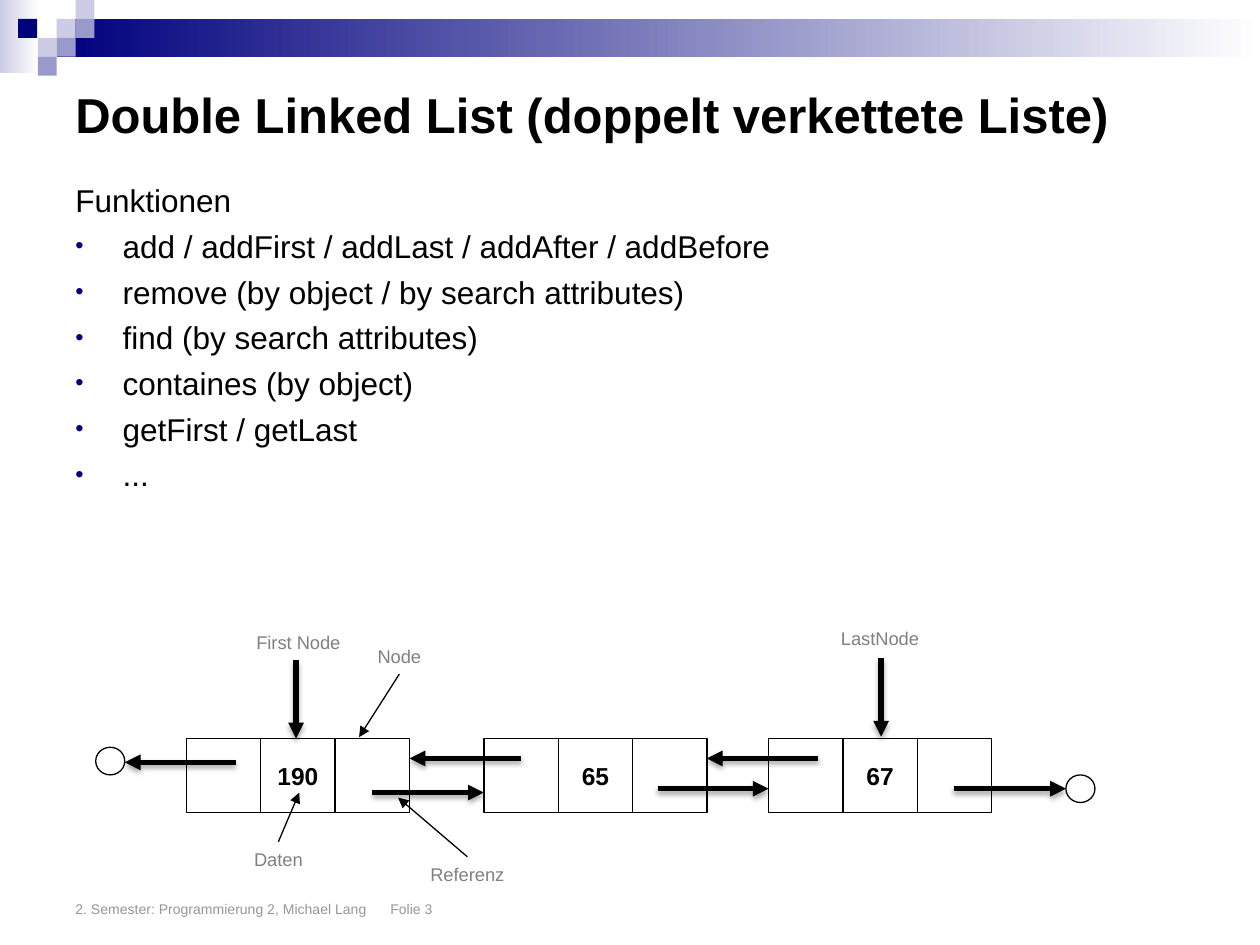
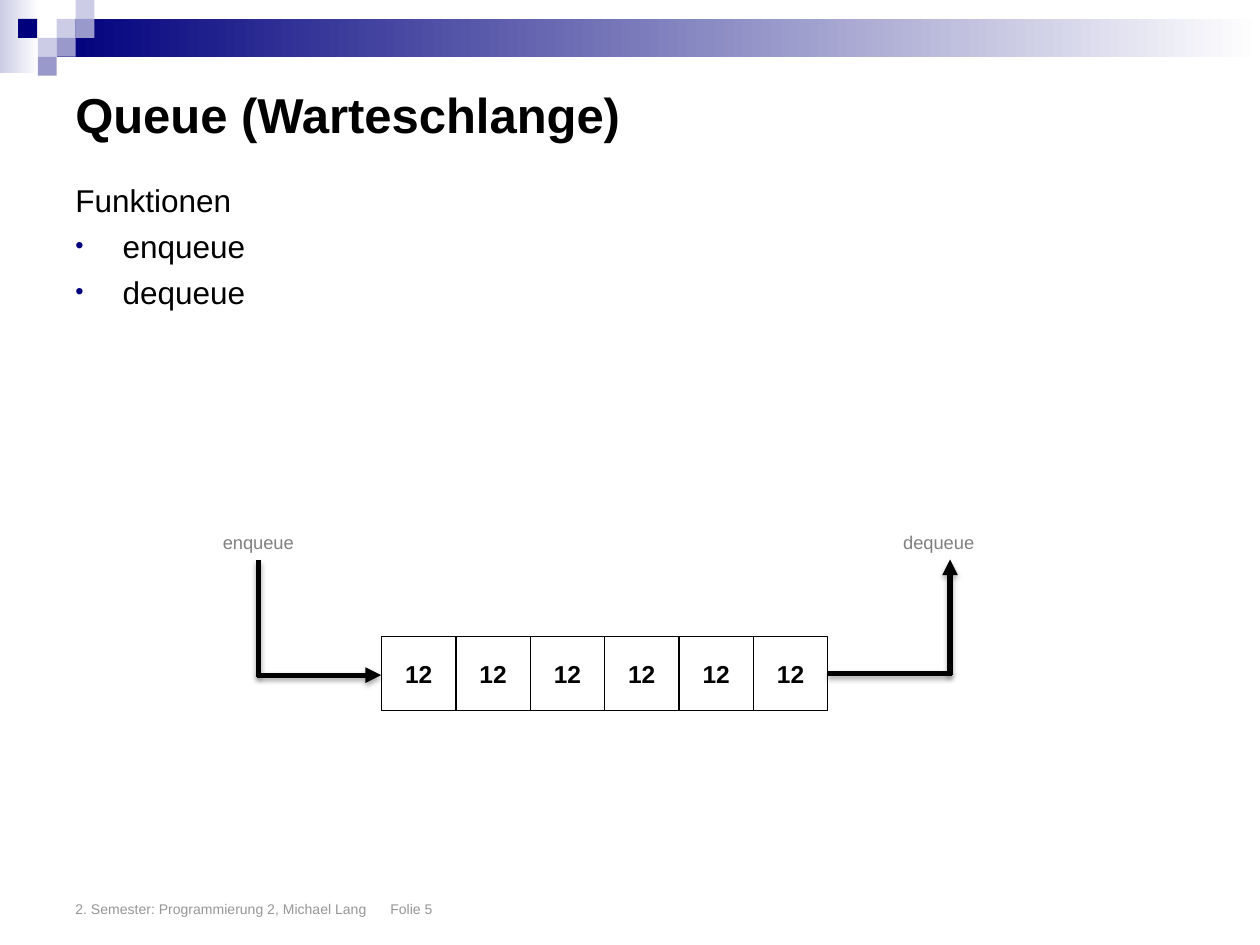
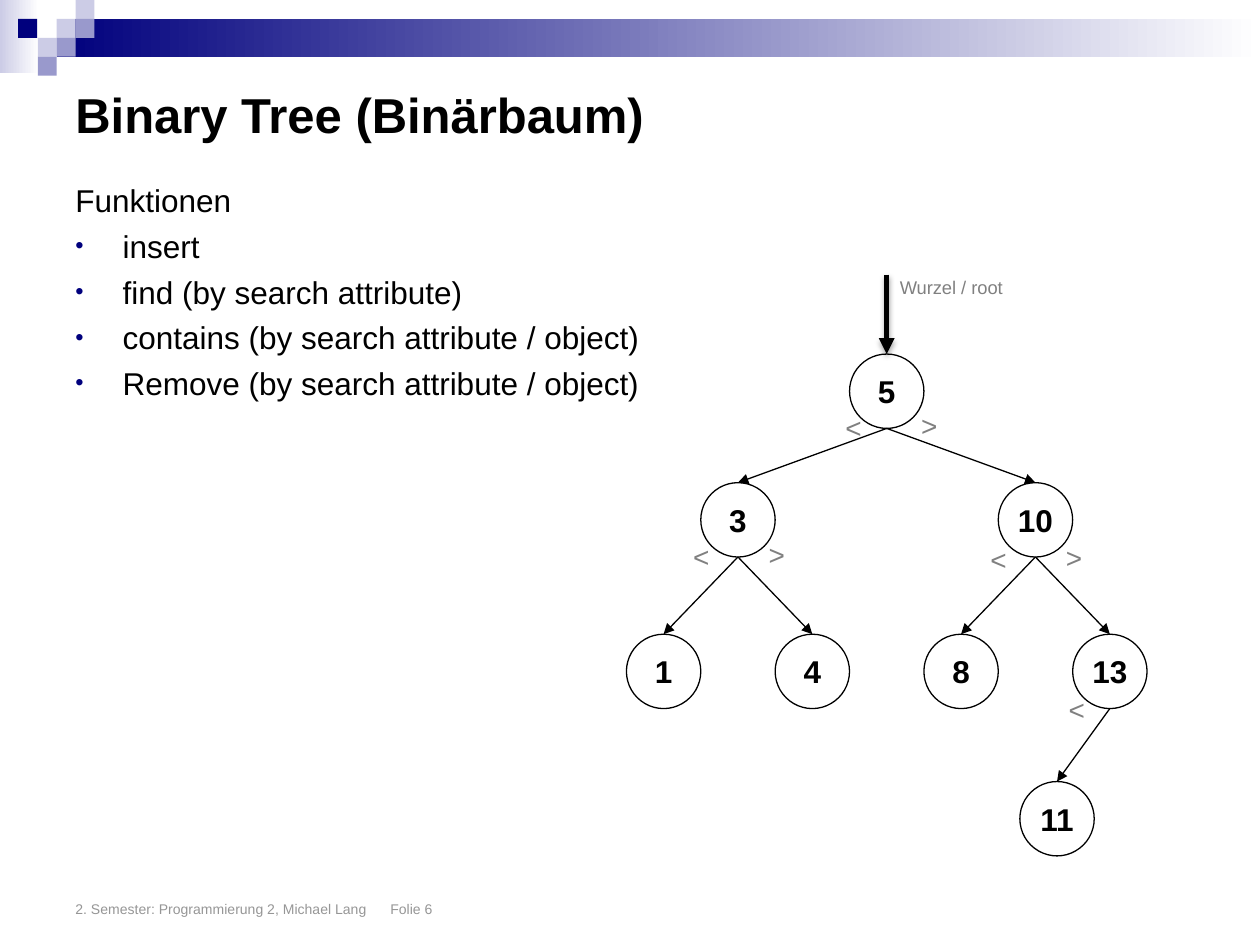
from lxml import etree
from pptx import Presentation
from pptx.dml.color import RGBColor
from pptx.enum.shapes import MSO_CONNECTOR as Connector, MSO_SHAPE as Preset
from pptx.enum.text import MSO_ANCHOR as Anchor, MSO_AUTO_SIZE as AutoSize, PP_ALIGN as Align
from pptx.oxml.ns import qn
from pptx.util import Pt

# ---- Shared look ----
COLORS = {"navy": "00007D", "lilac": "CCCCE6", "violet": "9999CC", "white": "FFFFFF",
          "black": "000000", "label": "808080", "footer": "969696"}
FONTS = {
    "title": {"size": 28, "bold": True, "color": "black"},
    "body": {"size": 18, "color": "black"},
    "footer": {"size": 8, "color": "footer"},
    "label": {"size": 10.5, "color": "label"},
    "mark": {"size": 16, "color": "label"},
    "cell": {"size": 14, "bold": True, "color": "black"},
    "node": {"size": 18, "bold": True, "color": "black"},
}
FOOTER = "2. Semester: Programmierung 2, Michael Lang\tFolie {}"
MARGIN, TEXT_WIDTH = 36, 648
THIN, THICK = 0.75, 3
CELL = 42.5

# left, top, width, height, colour(s)
TILE = 10.8
BAND = [
    (0, 0, 22.3, 42, ("lilac", "white")),
    (32.4, 10.8, 687.6, 21.6, ("navy", "white")),
] + [(left, top, TILE, TILE, (color,)) for left, top, color in [
    (32.4, 10.8, "lilac"), (43.2, 0, "lilac"), (43.2, 10.8, "violet"), (21.6, 21.6, "lilac"),
    (10.4, 10.8, "navy"), (32.4, 21.6, "violet"), (21.6, 32.4, "violet")]]

# ---- Slide content ----
LIST_SLIDE = {
    "title": "Double Linked List (doppelt verkettete Liste)", "number": 3, "body_height": 188.6,
    "functions": ["add / addFirst / addLast / addAfter / addBefore",
                  "remove (by object / by search attributes)", "find (by search attributes)",
                  "containes (by object)", "getFirst / getLast", "..."],
    "cells": [(106.5, 422, ["", "190", ""]), (276.5, 422, ["", "65", ""]),
              (439.2, 422, ["", "67", ""])],
    "ends": [(54.7, 427), (609.1, 442.8)],
    "thick": [(545, 450.7, 609.1, 450.7), (375.8, 450.7, 439.2, 450.7),
              (212.6, 452.9, 276.5, 452.9), (467.5, 433.4, 403.9, 433.4),
              (297.8, 433.4, 234, 433.4), (134.8, 435.6, 71.3, 435.6),
              (169.2, 377.3, 169.2, 422), (503.5, 376, 503.5, 421)],
    "thin": [(228.2, 385.2, 205.2, 421.2), (159.1, 481, 171, 453),
             (267.1, 489.6, 227.5, 455.8)],
    "labels": [("Node", 208.1, 365, 40.3), ("Daten", 137.5, 481, 43.2),
               ("Referenz", 238.3, 489.6, 57.6), ("First Node", 138.8, 357, 63.4),
               ("LastNode", 473, 355, 59.8)],
}
QUEUE_SLIDE = {
    "title": "Queue (Warteschlange)", "number": 5, "body_height": 102.2,
    "functions": ["enqueue", "dequeue"],
    "cells": [(218, 363.6, ["12"] * 6)],
    "thick": [(542.9, 386, 542.9, 319.7), (146.9, 385.8, 217.8, 385.8)],
    "plain": [(543.9, 384.7, 473, 384.7), (147.9, 386.6, 147.9, 320.2)],
    "labels": [("enqueue", 119.5, 300.2, 56.2), ("dequeue", 508.3, 300.2, 56.2)],
}
TREE_SLIDE = {
    "title": "Binary Tree (Binärbaum)", "number": 6, "body_height": 235.4,
    "functions": ["insert", "find (by search attribute)",
                  "contains (by search attribute / object)",
                  "Remove (by search attribute / object)"],
    # value: position in cell widths from the root, level
    "nodes": {5: (0, 0), 3: (-2, 1), 10: (2, 1), 1: (-3, 2), 4: (-1, 2),
              8: (1, 2), 13: (3, 2), 11: (2.29, 3)},
    # parent, child, left and top of the comparison sign
    "edges": [(5, 3, 475.9, 231.1), (5, 10, 519.1, 229.7), (3, 1, 388.8, 304.6),
              (3, 4, 432, 303.8), (10, 8, 558.7, 306.7), (10, 13, 601.9, 305.3),
              (13, 11, 603.4, 392.4)],
    "thick": [(506.7, 157, 506.7, 202.3)],
    "labels": [("Wurzel / root", 506.2, 154.1, 74.9)],
}
ROOT_CENTER, LEVEL_TOPS = 506.7, [202.3, 275.8, 362.4, 446.6]


# ---- Building blocks ----
def rgb(name):
    return RGBColor.from_string(COLORS[name])


def write(paragraph, text, style):
    run = paragraph.add_run()
    run.text = text
    values = dict(FONTS[style])
    run.font.color.rgb = rgb(values.pop("color"))
    values["size"] = Pt(values["size"])
    for key, value in {"name": "Arial", **values}.items():
        setattr(run.font, key, value)


def add_text(slide, text, style, box, **frame_format):
    shape = slide.shapes.add_textbox(*map(Pt, box))
    for key, value in {"word_wrap": True, **frame_format}.items():
        setattr(shape.text_frame, key, value)
    if text:
        write(shape.text_frame.paragraphs[0], text, style)
    return shape.text_frame


def add_label(slide, text, left, top, width, style="label", height=20):
    frame = add_text(slide, text, style, (left, top, width, height),
                     word_wrap=False, auto_size=AutoSize.SHAPE_TO_FIT_TEXT)
    frame.paragraphs[0].alignment = Align.CENTER


def add_outline(slide, preset, left, top, width, height, text="", style="cell"):
    shape = slide.shapes.add_shape(preset, *map(Pt, (left, top, width, height)))
    shape.shadow.inherit = False
    shape.fill.background()
    shape.line.color.rgb = rgb("black")
    shape.line.width = Pt(THIN)
    if text:
        frame = shape.text_frame
        frame.word_wrap = False
        frame.vertical_anchor = Anchor.MIDDLE
        frame.paragraphs[0].alignment = Align.CENTER
        write(frame.paragraphs[0], text, style)


def add_line(slide, ends, width, arrow=True):
    line = slide.shapes.add_connector(Connector.STRAIGHT, *map(Pt, ends))
    line.line.color.rgb = rgb("black")
    line.line.width = Pt(width)
    if arrow:
        etree.SubElement(line.line._get_or_add_ln(), qn("a:tailEnd"), type="triangle")
    effects = etree.SubElement(line._element.spPr, qn("a:effectLst"))
    if width == THICK:
        shadow = etree.SubElement(effects, qn("a:outerShdw"), blurRad=str(Pt(3.1)),
                                  dist=str(Pt(1.8)), dir="5400000", rotWithShape="0")
        color = etree.SubElement(shadow, qn("a:srgbClr"), val=COLORS["black"])
        etree.SubElement(color, qn("a:alpha"), val="35000")


def add_bullet(paragraph):
    properties = paragraph._p.get_or_add_pPr()
    color = etree.SubElement(properties, qn("a:buClr"))
    etree.SubElement(color, qn("a:srgbClr"), val=COLORS["navy"])
    etree.SubElement(properties, qn("a:buSzPct"), val="75000")
    etree.SubElement(properties, qn("a:buFont"), typeface="Arial")
    etree.SubElement(properties, qn("a:buChar"), char="•")


def add_band(slide):
    group = slide.shapes.add_group_shape()
    for left, top, width, height, colors in BAND:
        shape = group.shapes.add_shape(Preset.RECTANGLE, *map(Pt, (left, top, width, height)))
        shape.shadow.inherit = False
        shape.line.fill.background()
        if len(colors) == 1:
            shape.fill.solid()
            shape.fill.fore_color.rgb = rgb(colors[0])
            continue
        shape.fill.gradient()
        shape.fill.gradient_angle = 0
        for position, (stop, color) in enumerate(zip(shape.fill.gradient_stops, colors)):
            stop.position = position
            stop.color.rgb = rgb(color)


def add_functions(slide, functions, height):
    frame = add_text(slide, "", "body", (MARGIN, 100, TEXT_WIDTH, height))
    for index, text in enumerate(["Funktionen"] + functions):
        paragraph = frame.add_paragraph() if index else frame.paragraphs[0]
        paragraph.space_before = Pt(4.5)
        properties = paragraph._p.get_or_add_pPr()
        properties.set("marL", str(Pt(27)))
        properties.set("indent", str(-Pt(27)))
        if index:
            add_bullet(paragraph)
        write(paragraph, text, "body")


def add_tree(slide, nodes, edges):
    centers = {value: (ROOT_CENTER + column * CELL, LEVEL_TOPS[level])
               for value, (column, level) in nodes.items()}
    for value, (center, top) in centers.items():
        add_outline(slide, Preset.OVAL, center - CELL / 2, top, CELL, CELL, str(value), "node")
    for parent, child, left, top in edges:
        (start, parent_top), end = centers[parent], centers[child]
        add_line(slide, (start, parent_top + CELL, *end), THIN)
        add_label(slide, "<" if child < parent else ">", left, top, 23.8, "mark", 26.6)


def build_slide(presentation, content):
    slide = presentation.slides.add_slide(presentation.slide_layouts[6])
    add_band(slide)
    add_text(slide, content["title"], "title", (MARGIN, 36, TEXT_WIDTH, 58.3),
             vertical_anchor=Anchor.MIDDLE)
    add_functions(slide, content["functions"], content["body_height"])
    add_text(slide, FOOTER.format(content["number"]), "footer", (MARGIN, 491.8, TEXT_WIDTH, 36),
             vertical_anchor=Anchor.BOTTOM)
    # Diagram
    for left, top, texts in content.get("cells", []):
        for index, text in enumerate(texts):
            add_outline(slide, Preset.RECTANGLE, left + index * CELL, top, CELL, CELL, text)
    for left, top in content.get("ends", []):
        add_outline(slide, Preset.OVAL, left, top, 16.6, 15.8)
    add_tree(slide, content.get("nodes", {}), content.get("edges", []))
    for kind, width, arrow in [("thick", THICK, True), ("plain", THICK, False),
                               ("thin", THIN, True)]:
        for ends in content.get(kind, []):
            add_line(slide, ends, width, arrow)
    for label in content["labels"]:
        add_label(slide, *label)


presentation = Presentation()
presentation.slide_width, presentation.slide_height = Pt(720), Pt(540)
for content in (LIST_SLIDE, QUEUE_SLIDE, TREE_SLIDE):
    build_slide(presentation, content)
presentation.save("out.pptx")
